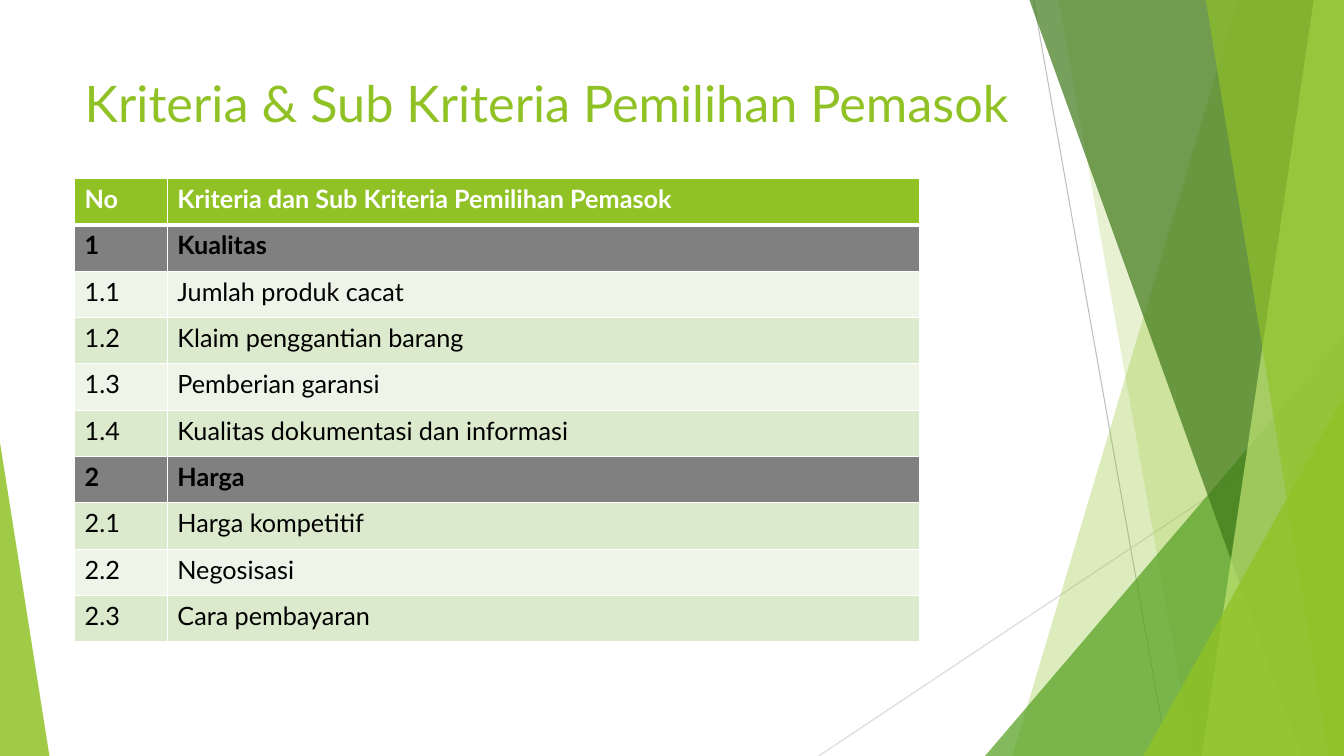
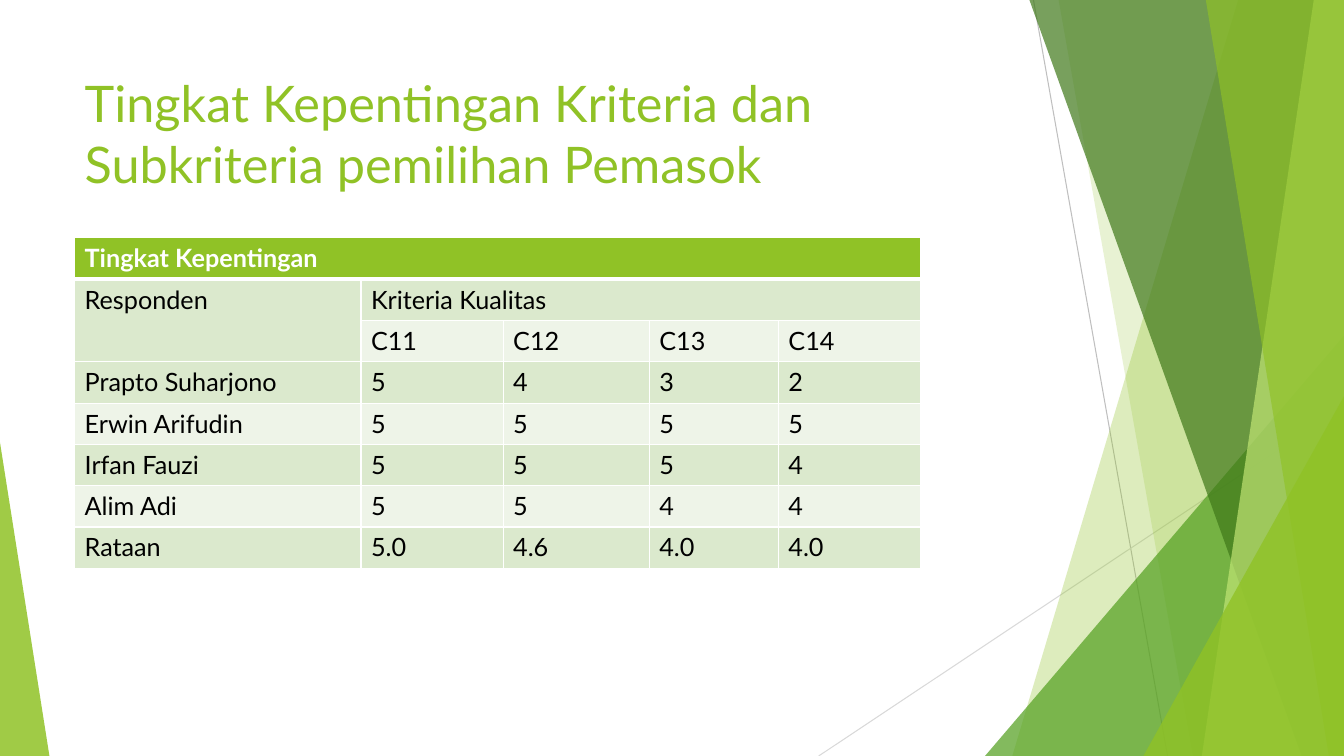
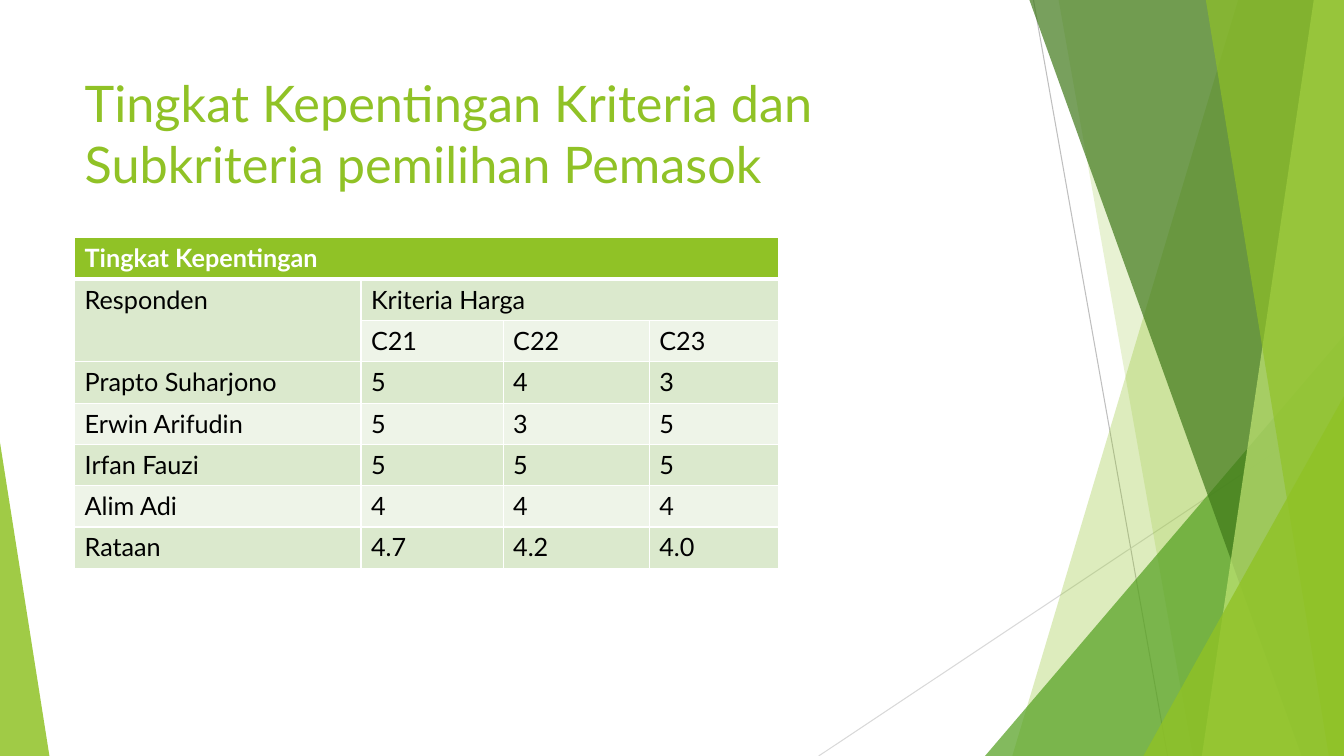
import pptx
import pptx.dml.color
import pptx.enum.shapes
import pptx.enum.text
import pptx.oxml
import pptx.oxml.ns
import pptx.util
from pptx.dml.color import RGBColor
from pptx.util import Inches, Pt
from lxml import etree

GREEN = RGBColor(0x90, 0xC2, 0x26)
LEAF = RGBColor(0x54, 0xA0, 0x21)
FOREST = RGBColor(0x3F, 0x78, 0x19)
LIME = RGBColor(0xC0, 0xE4, 0x74)
STRIPE_DARK = RGBColor(0xDB, 0xE9, 0xCD)
STRIPE_LIGHT = RGBColor(0xEE, 0xF4, 0xE8)
GRAY = RGBColor(0x80, 0x80, 0x80)
LINE_GRAY = RGBColor(0xBF, 0xBF, 0xBF)
LINE_PALE = RGBColor(0xD9, 0xD9, 0xD9)
WHITE = RGBColor(0xFF, 0xFF, 0xFF)
BLACK = RGBColor(0, 0, 0)
FONT = "Lato"
WIDTH, HEIGHT, LEFT = 13.33, 7.5, 0.74


def add_text(frame, text, size, color, bold=False):
    span = frame.paragraphs[0].add_run()
    span.text = text
    span.font.name = FONT
    span.font.size = Pt(size)
    span.font.color.rgb = color
    span.font.bold = bold


def set_border(cell, side, points):
    """Draw a white border on one side (L, R, T or B); call before filling the cell."""
    line = etree.SubElement(cell._tc.get_or_add_tcPr(), pptx.oxml.ns.qn(f"a:ln{side}"), w=str(Pt(points)))
    fill = etree.SubElement(line, pptx.oxml.ns.qn("a:solidFill"))
    etree.SubElement(fill, pptx.oxml.ns.qn("a:srgbClr"), val=str(WHITE))


deck = pptx.Presentation()
deck.slide_width, deck.slide_height = Inches(WIDTH), Inches(HEIGHT)
layout = deck.slide_layouts[5]
pages = [deck.slides.add_slide(layout) for _ in range(3)]

# Shared decoration: drawn on the first page, then moved to the slide master
decoration = []
for x1, y1, x2, y2, color in [(10.25, 0, 11.58, HEIGHT, LINE_GRAY), (WIDTH, 4.03, 8.12, HEIGHT, LINE_PALE)]:
    line = pages[0].shapes.add_connector(
        pptx.enum.shapes.MSO_CONNECTOR.STRAIGHT, Inches(x1), Inches(y1), Inches(x2), Inches(y2))
    line.line.color.rgb = color
    line.line.width = Pt(0.75)
    etree.SubElement(line._element.spPr, pptx.oxml.ns.qn("a:effectLst"))
    decoration.append(line)

# Band: top x, bottom x of its left edge. Triangle: left, top, width, apex position.
facets = [
    ("band", (12.28, 10.04), GREEN, 30),
    ("band", (10.5, 11.83), GREEN, 20),
    ("triangle", (9.77, 3.33, 3.56, 1), LEAF, 72),
    ("band", (10.21, 12.91), FOREST, 70),
    ("band", (13.03, 11.92), LIME, 70),
    ("band", (11.96, 13.18), GREEN, 65),
    ("triangle", (11.34, 3.93, 1.99, 1), GREEN, 80),
    ("triangle", (0, 4.39, 0.49, 0), GREEN, 85),
]
for kind, geometry, color, opacity in facets:
    if kind == "band":
        top_x, bottom_x = geometry
        outline = pages[0].shapes.build_freeform(Inches(top_x), 0)
        corners = [(WIDTH, 0), (WIDTH, HEIGHT), (bottom_x, HEIGHT)]
        outline.add_line_segments([(Inches(x), Inches(y)) for x, y in corners], close=True)
        facet = outline.convert_to_shape()
    else:
        left, top, width, apex = geometry
        facet = pages[0].shapes.add_shape(
            pptx.enum.shapes.MSO_SHAPE.ISOSCELES_TRIANGLE,
            Inches(left), Inches(top), Inches(width), Inches(HEIGHT - top))
        facet.adjustments[0] = apex
    facet.shadow.inherit = False
    facet.line.fill.background()
    facet.fill.solid()
    facet.fill.fore_color.rgb = color
    tint = facet._element.spPr.find(".//" + pptx.oxml.ns.qn("a:srgbClr"))
    etree.SubElement(tint, pptx.oxml.ns.qn("a:alpha"), val=str(opacity * 1000))
    decoration.append(facet)

master_tree = deck.slide_master.shapes.element
for number, shape in enumerate(decoration):
    shape._element.xpath(".//p:cNvPr")[0].set("id", str(100 + number))
    master_tree.insert(2 + number, shape._element)

# Contents: title, title width, table top, column widths, row height, rows
criteria = [
    ["No", "Kriteria dan Sub Kriteria Pemilihan Pemasok"],
    ["1", "Kualitas"],
    ["1.1", "Jumlah produk cacat"],
    ["1.2", "Klaim penggantian barang"],
    ["1.3", "Pemberian garansi"],
    ["1.4", "Kualitas dokumentasi dan informasi"],
    ["2", "Harga"],
    ["2.1", "Harga kompetitif"],
    ["2.2", "Negosisasi"],
    ["2.3", "Cara pembayaran"],
]
quality = [
    ["Tingkat Kepentingan", "", "", "", ""],
    ["Responden", "Kriteria Kualitas", "", "", ""],
    ["", "C11", "C12", "C13", "C14"],
    ["Prapto Suharjono", "5", "4", "3", "2"],
    ["Erwin Arifudin", "5", "5", "5", "5"],
    ["Irfan Fauzi", "5", "5", "5", "4"],
    ["Alim Adi", "5", "5", "4", "4"],
    ["Rataan", "5.0", "4.6", "4.0", "4.0"],
]
price = [
    ["Tingkat Kepentingan", "", "", ""],
    ["Responden", "Kriteria Harga", "", ""],
    ["", "C21", "C22", "C23"],
    ["Prapto Suharjono", "5", "4", "3"],
    ["Erwin Arifudin", "5", "3", "5"],
    ["Irfan Fauzi", "5", "5", "5"],
    ["Alim Adi", "4", "4", "4"],
    ["Rataan", "4.7", "4.2", "4.0"],
]
rating_title = "Tingkat Kepentingan Kriteria dan Subkriteria pemilihan Pemasok"
rating_columns = [2.84, 1.41, 1.45, 1.28, 1.41]
contents = [
    ("Kriteria & Sub Kriteria Pemilihan Pemasok", 9.74, 1.77, [0.92, 7.46], 0.46, criteria),
    (rating_title, 9.4, 2.36, rating_columns, 0.41, quality),
    (rating_title, 9.4, 2.36, rating_columns[:4], 0.41, price),
]

for page, (heading, title_width, table_top, columns, row_height, rows) in zip(pages, contents):
    title = page.shapes.title
    title.left, title.top = Inches(LEFT), Inches(0.67)
    title.width, title.height = Inches(title_width), Inches(1.44)
    title.text_frame.auto_size = pptx.enum.text.MSO_AUTO_SIZE.NONE
    title.text_frame.vertical_anchor = pptx.enum.text.MSO_ANCHOR.TOP
    title.text_frame.paragraphs[0].alignment = pptx.enum.text.PP_ALIGN.LEFT
    add_text(title.text_frame, heading, 36, GREEN)

    table = page.shapes.add_table(
        len(rows), len(columns), Inches(LEFT), Inches(table_top),
        Inches(sum(columns)), Inches(row_height * len(rows))).table
    for column, width in zip(table.columns, columns):
        column.width = Inches(width)
    for row_index, values in enumerate(rows):
        table.rows[row_index].height = Inches(row_height)
        is_header = row_index == 0
        is_category = rows is criteria and not is_header and "." not in values[0]
        if is_header:
            fill_color = GREEN
        elif is_category:
            fill_color = GRAY
        else:
            fill_color = STRIPE_DARK if row_index % 2 else STRIPE_LIGHT
        for column_index, value in enumerate(values):
            cell = table.cell(row_index, column_index)
            for side in "LRTB":
                under_header = (row_index, side) in [(0, "B"), (1, "T")]
                set_border(cell, side, 3 if under_header else 1)
            cell.fill.solid()
            cell.fill.fore_color.rgb = fill_color
            if value:
                add_text(cell.text_frame, value, 18, WHITE if is_header else BLACK, is_header or is_category)
    if rows is not criteria:
        last = len(columns) - 1
        table.cell(0, 0).merge(table.cell(0, last))
        table.cell(1, 0).merge(table.cell(2, 0))
        table.cell(1, 1).merge(table.cell(1, last))

deck.save("out.pptx")
